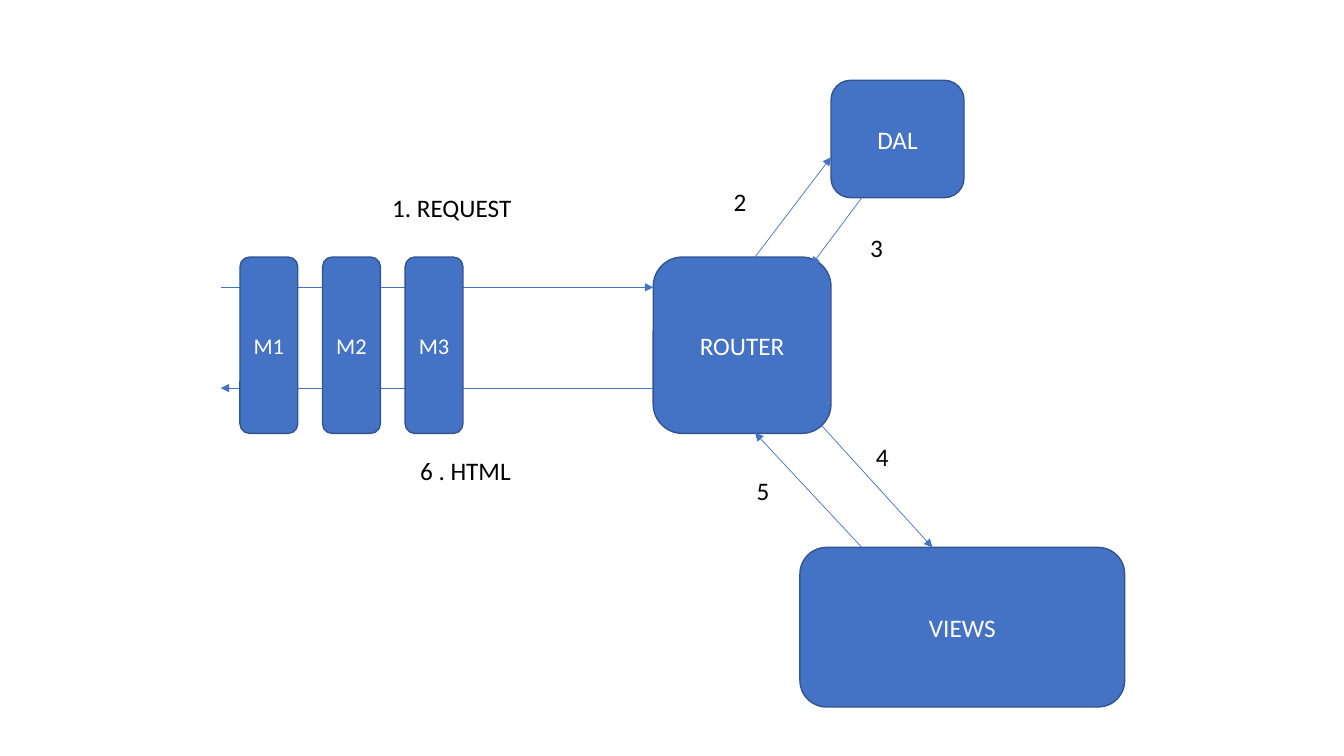
from typing import NamedTuple

from lxml import etree
from pptx import Presentation
from pptx.dml.color import RGBColor
from pptx.enum.shapes import MSO_CONNECTOR, MSO_SHAPE
from pptx.enum.text import MSO_ANCHOR, MSO_AUTO_SIZE, PP_ALIGN
from pptx.oxml.ns import qn
from pptx.slide import Slide
from pptx.text.text import TextFrame
from pptx.util import Pt

ROUNDED = MSO_SHAPE.ROUNDED_RECTANGLE
STRAIGHT = MSO_CONNECTOR.STRAIGHT
MIDDLE = MSO_ANCHOR.MIDDLE
CENTER = PP_ALIGN.CENTER
LEFT = PP_ALIGN.LEFT
FIT_SHAPE = MSO_AUTO_SIZE.SHAPE_TO_FIT_TEXT

BLUE = RGBColor(0x44, 0x72, 0xC4)
DARK_BLUE = RGBColor(0x32, 0x54, 0x91)
WHITE = RGBColor(0xFF, 0xFF, 0xFF)
BLACK = RGBColor(0x00, 0x00, 0x00)
FONT = "Calibri"
BLANK_LAYOUT = 6

ROUTER_LEFT = 466.6
ROUTER_TOP = 183.6
ROUTER_HEIGHT = 126
CLIENT_X = 157.7
REQUEST_Y = 205.2
RESPONSE_Y = 277.2
VIEWS_TOP = 391
MIDDLEWARE_LEFT = 171.4
MIDDLEWARE_STEP = 59
LABEL_HEIGHT = 29


class Block(NamedTuple):
    text: str
    left: float
    top: float
    width: float
    height: float
    size: float = 18


class Arrow(NamedTuple):
    start_x: float
    start_y: float
    end_x: float
    end_y: float


class Label(NamedTuple):
    text: str
    left: float
    top: float
    width: float = 23.8


COMPONENTS = [
    Block("ROUTER", ROUTER_LEFT, ROUTER_TOP, 127, ROUTER_HEIGHT),
    Block("DAL", 593.6, 57.4, 95, 83.8),
    Block("VIEWS", 571.4, VIEWS_TOP, 232, 114),
]
MIDDLEWARE = [
    Block(f"M{number + 1}", MIDDLEWARE_LEFT + number * MIDDLEWARE_STEP,
          ROUTER_TOP, 41.3, ROUTER_HEIGHT, 16)
    for number in range(3)
]
ARROWS = [
    Arrow(CLIENT_X, REQUEST_Y, ROUTER_LEFT, REQUEST_Y),
    Arrow(539.3, ROUTER_TOP, 593.6, 112.3),
    Arrow(615.6, 141.2, 579.6, 189.4),
    Arrow(586.4, 303.4, 666, VIEWS_TOP),
    Arrow(615.6, VIEWS_TOP, 539.3, 309.2),
    Arrow(ROUTER_LEFT, RESPONSE_Y, CLIENT_X, RESPONSE_Y),
]
LABELS = [
    Label("1. REQUEST", 273, 134, 100),
    Label("2", 517, 129.8),
    Label("3", 614.4, 162.4),
    Label("4", 618.6, 311.4),
    Label("5", 533.4, 335.8),
    Label("6 . HTML", 293, 321.4, 80),
]


def write_text(frame: TextFrame, text: str, size: float,
               color: RGBColor, alignment: PP_ALIGN) -> None:
    frame.text = text
    para = frame.paragraphs[0]
    para.alignment = alignment
    span = para.runs[0]
    span.font.name = FONT
    span.font.size = Pt(size)
    span.font.color.rgb = color


def draw_block(page: Slide, block: Block) -> None:
    box = page.shapes.add_shape(ROUNDED, Pt(block.left), Pt(block.top),
                                Pt(block.width), Pt(block.height))
    box.shadow.inherit = False
    box.fill.solid()
    box.fill.fore_color.rgb = BLUE
    box.line.color.rgb = DARK_BLUE
    box.line.width = Pt(1)
    box.text_frame.vertical_anchor = MIDDLE
    write_text(box.text_frame, block.text, block.size, WHITE, CENTER)


def draw_arrow(page: Slide, arrow: Arrow) -> None:
    connector = page.shapes.add_connector(
        STRAIGHT, Pt(arrow.start_x), Pt(arrow.start_y),
        Pt(arrow.end_x), Pt(arrow.end_y))
    connector.line.color.rgb = BLUE
    connector.line.width = Pt(0.5)
    properties = connector.line._get_or_add_ln()
    etree.SubElement(properties, qn("a:tailEnd"), type="triangle")
    etree.SubElement(properties.getparent(), qn("a:effectLst"))


def draw_label(page: Slide, label: Label) -> None:
    box = page.shapes.add_textbox(Pt(label.left), Pt(label.top),
                                  Pt(label.width), Pt(LABEL_HEIGHT))
    box.text_frame.word_wrap = False
    box.text_frame.auto_size = FIT_SHAPE
    write_text(box.text_frame, label.text, 18, BLACK, LEFT)


def main() -> None:
    deck = Presentation()
    deck.slide_width = Pt(960)
    deck.slide_height = Pt(540)
    page = deck.slides.add_slide(deck.slide_layouts[BLANK_LAYOUT])
    for component in COMPONENTS:
        draw_block(page, component)
    for arrow in ARROWS:
        draw_arrow(page, arrow)
    for label in LABELS:
        draw_label(page, label)
    for stage in MIDDLEWARE:
        draw_block(page, stage)
    deck.save("out.pptx")


if __name__ == "__main__":
    main()
